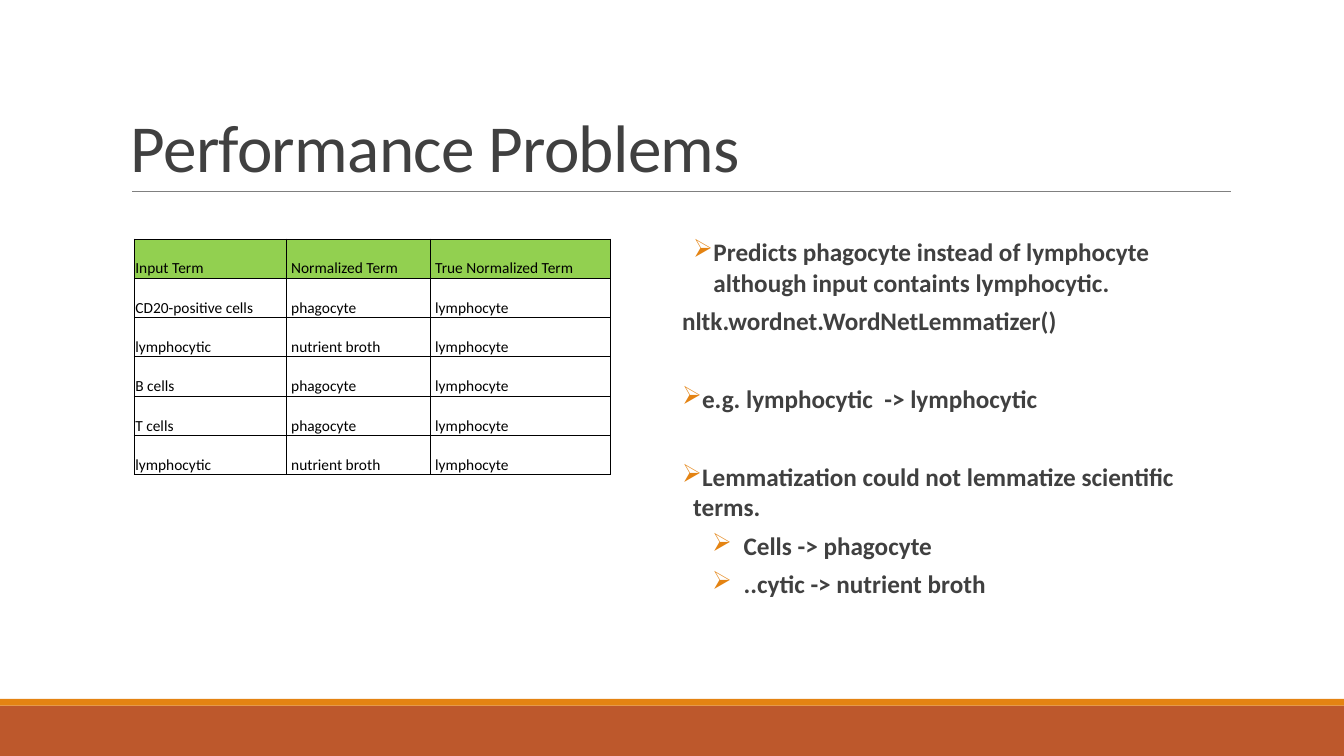
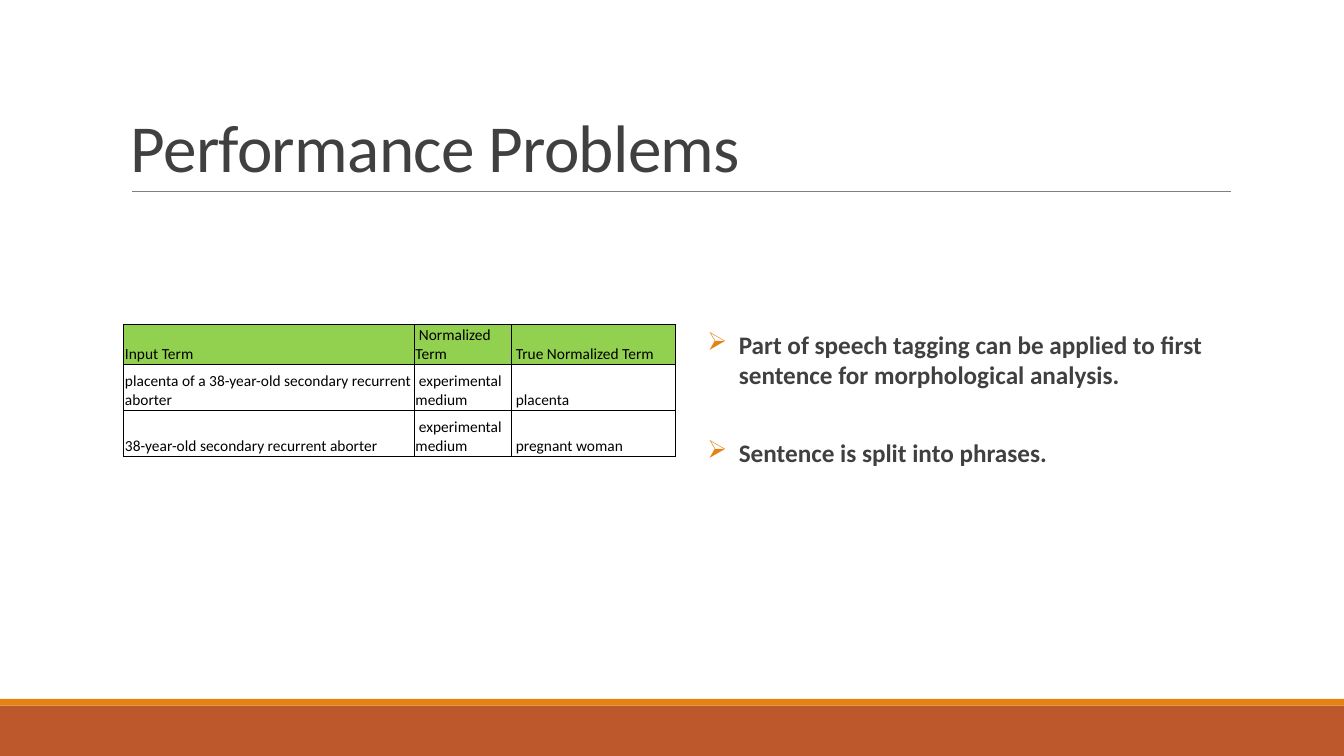
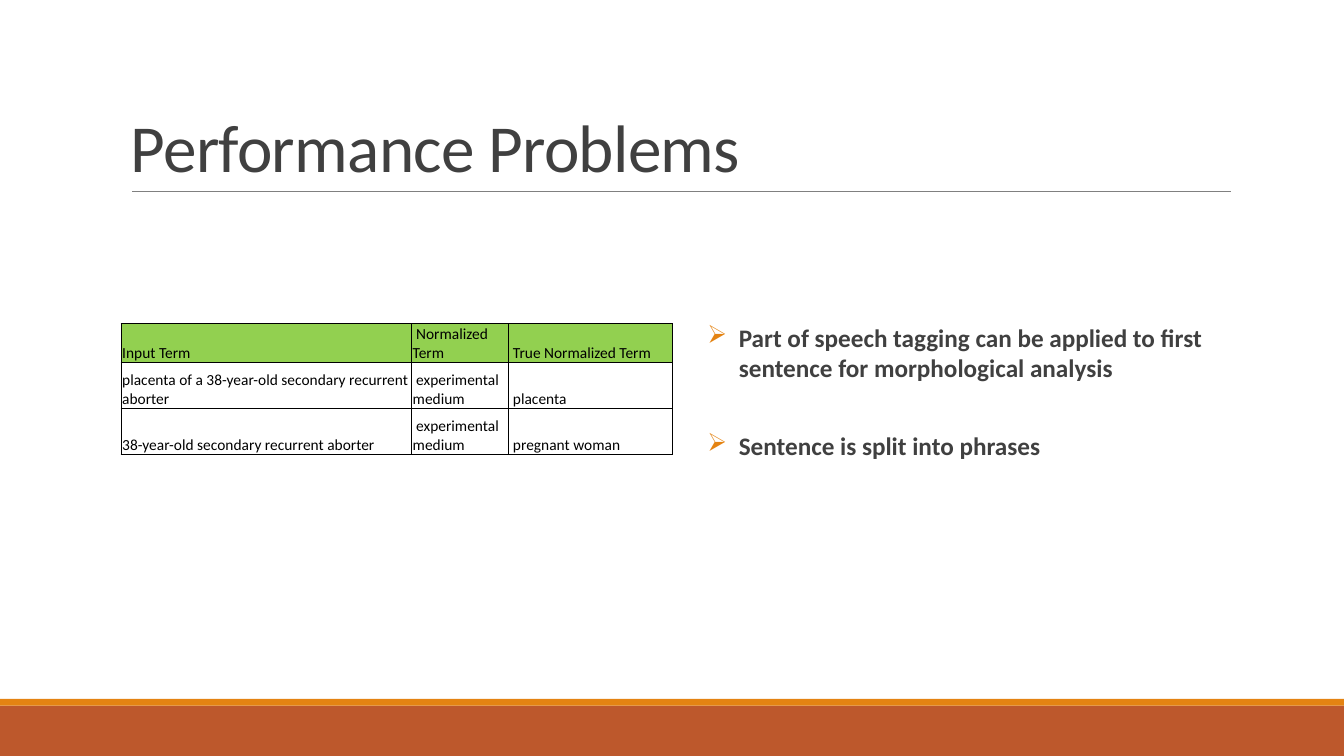
from dataclasses import dataclass

from lxml.etree import SubElement
from pptx import Presentation
from pptx.dml.color import RGBColor
from pptx.enum.shapes import MSO_CONNECTOR, MSO_SHAPE
from pptx.enum.text import MSO_ANCHOR
from pptx.oxml import parse_xml
from pptx.oxml.ns import nsdecls, qn
from pptx.util import Cm, Pt

SLIDE_WIDTH = 33.87
SLIDE_HEIGHT = 19.05


@dataclass(frozen=True)
class Theme:
    font: str = "Calibri"
    text: str = "404040"
    table_text: str = "000000"
    border: str = "000000"
    header: str = "92D050"
    rule: str = "808080"
    footer: str = "BD582C"
    accent: str = "E48312"
    title_size: float = 48
    body_size: float = 18
    table_size: float = 11
    hairline: float = 0.5
    space_before: float = 2
    space_after: float = 4
    section_gap: float = 30


@dataclass(frozen=True)
class Item:
    text: str
    left: float = 0.79
    hanging: float = 0.79
    bullet: bool = True
    section: bool = False
    level: int = 0


class Deck:
    def __init__(self, theme):
        self.theme = theme
        self.presentation = Presentation()
        self.presentation.slide_width = Cm(SLIDE_WIDTH)
        self.presentation.slide_height = Cm(SLIDE_HEIGHT)
        self.slide = None

    def add_slide(self, title):
        self.slide = self.presentation.slides.add_slide(self.presentation.slide_layouts[6])
        self.band(17.78, 1.27, self.theme.footer)
        self.band(17.61, 0.17, self.theme.accent)
        self.rule(3.33, 31.01, 4.83)
        self.title(title)

    def band(self, top, height, color):
        shape = self.slide.shapes.add_shape(
            MSO_SHAPE.RECTANGLE, 0, Cm(top), Cm(SLIDE_WIDTH), Cm(height))
        shape.shadow.inherit = False
        shape.fill.solid()
        shape.fill.fore_color.rgb = RGBColor.from_string(color)
        shape.line.fill.background()

    def rule(self, left, right, top):
        connector = self.slide.shapes.add_connector(
            MSO_CONNECTOR.STRAIGHT, Cm(left), Cm(top), Cm(right), Cm(top))
        connector.line.color.rgb = RGBColor.from_string(self.theme.rule)
        connector.line.width = Pt(self.theme.hairline)
        SubElement(connector._element.spPr, qn("a:effectLst"))

    def text_frame(self, left, top, width, height):
        text_box = self.slide.shapes.add_textbox(Cm(left), Cm(top), Cm(width), Cm(height))
        text_box.text_frame.word_wrap = True
        return text_box.text_frame

    def format_runs(self, paragraph, size, color, bold=False):
        for run in paragraph.runs:
            run.font.name = self.theme.font
            run.font.size = Pt(size)
            run.font.bold = bold
            run.font.color.rgb = RGBColor.from_string(color)

    def title(self, text):
        text_frame = self.text_frame(3.05, 0.79, 27.94, 4.04)
        text_frame.vertical_anchor = MSO_ANCHOR.BOTTOM
        text_frame.text = text
        paragraph = text_frame.paragraphs[0]
        paragraph.line_spacing = 0.85
        self.format_runs(paragraph, self.theme.title_size, self.theme.text)
        for run in paragraph.runs:
            run.font._element.set("spc", "-50")

    def bullets(self, left, top, width, height, items):
        text_frame = self.text_frame(left, top, width, height)
        text_frame.text = "\n".join(item.text for item in items)
        for paragraph, item in zip(text_frame.paragraphs, items):
            paragraph.level = item.level
            paragraph.space_before = Pt(
                self.theme.section_gap if item.section else self.theme.space_before)
            paragraph.space_after = Pt(self.theme.space_after)
            self.format_runs(paragraph, self.theme.body_size, self.theme.text, bold=True)
            self.mark(paragraph, item)

    def mark(self, paragraph, item):
        properties = paragraph._p.get_or_add_pPr()
        properties.set("marL", str(Cm(item.left)))
        properties.set("indent", str(-Cm(item.hanging)))
        if item.bullet:
            color = SubElement(properties, qn("a:buClr"))
            SubElement(color, qn("a:srgbClr")).set("val", self.theme.accent)
            SubElement(properties, qn("a:buChar")).set("char", "➢")
        else:
            SubElement(properties, qn("a:buNone"))

    def table(self, left, top, widths, heights, rows):
        table = self.slide.shapes.add_table(
            len(rows), len(widths), Cm(left), Cm(top),
            Cm(sum(widths)), Cm(sum(heights))).table
        table.first_row = False
        table.horz_banding = False
        for column, width in zip(table.columns, widths):
            column.width = Cm(width)
        for row, height in zip(table.rows, heights):
            row.height = Cm(height)
        for row_index, texts in enumerate(rows):
            for column_index, text in enumerate(texts):
                self.cell(table.cell(row_index, column_index), text, row_index == 0)

    def cell(self, cell, text, is_header):
        cell.text_frame.text = text
        cell.vertical_anchor = MSO_ANCHOR.BOTTOM
        cell.margin_left = cell.margin_right = cell.margin_top = Cm(0.03)
        cell.margin_bottom = 0
        self.format_runs(cell.text_frame.paragraphs[0],
                         self.theme.table_size, self.theme.table_text)
        if is_header:
            cell.fill.solid()
            cell.fill.fore_color.rgb = RGBColor.from_string(self.theme.header)
        else:
            cell.fill.background()
        properties = cell._tc.get_or_add_tcPr()
        for position, side in enumerate("LRTB"):
            properties.insert(position, parse_xml(
                f'<a:ln{side} {nsdecls("a")} w="{Pt(self.theme.hairline)}"><a:solidFill>'
                f'<a:srgbClr val="{self.theme.border}"/></a:solidFill></a:ln{side}>'))


TITLE = "Performance Problems"
HEADINGS = ("Input Term", " Normalized Term", " True Normalized Term")

CELL_ROWS = (
    HEADINGS,
    ("CD20-positive cells", " phagocyte", " lymphocyte"),
    ("lymphocytic", " nutrient broth", " lymphocyte"),
    ("B cells", " phagocyte", " lymphocyte"),
    ("T cells", " phagocyte", " lymphocyte"),
    ("lymphocytic", " nutrient broth", " lymphocyte"),
)

CELL_ITEMS = (
    Item("Predicts phagocyte instead of lymphocyte although input containts lymphocytic.",
         hanging=0.51),
    Item("nltk.wordnet.WordNetLemmatizer()", left=0, hanging=0, bullet=False),
    Item("e.g. lymphocytic  -> lymphocytic", left=0.28, section=True),
    Item("Lemmatization could not lemmatize scientific terms.", left=0.28, section=True),
    Item("Cells -> phagocyte", left=1.55, level=1),
    Item("..cytic -> nutrient broth", left=1.55, level=1),
)

PHRASE_ROWS = (
    HEADINGS,
    ("placenta of a 38-year-old secondary recurrent aborter",
     " experimental medium", " placenta"),
    ("38-year-old secondary recurrent aborter",
     " experimental medium", " pregnant woman"),
)

PHRASE_SLIDES = (
    (3.12, 8.18, 8.18, "."),
    (3.05, 8.15, 8.0, ""),
)


def main():
    deck = Deck(Theme())

    deck.add_slide(TITLE)
    deck.table(3.38, 6.02, (3.84, 3.63, 4.52), [0.99] * len(CELL_ROWS), CELL_ROWS)
    deck.bullets(16.94, 5.84, 13.13, 9.45, CELL_ITEMS)

    for table_left, table_top, text_top, ending in PHRASE_SLIDES:
        deck.add_slide(TITLE)
        deck.table(table_left, table_top, (7.32, 2.44, 4.14), (0.99, 1.16, 1.16), PHRASE_ROWS)
        deck.bullets(17.58, text_top, 13.41, 6.22, (
            Item("Part of speech tagging can be applied to first sentence "
                 f"for morphological analysis{ending}"),
            Item(f"Sentence is split into phrases{ending}", section=True),
        ))

    deck.presentation.save("out.pptx")


if __name__ == "__main__":
    main()
